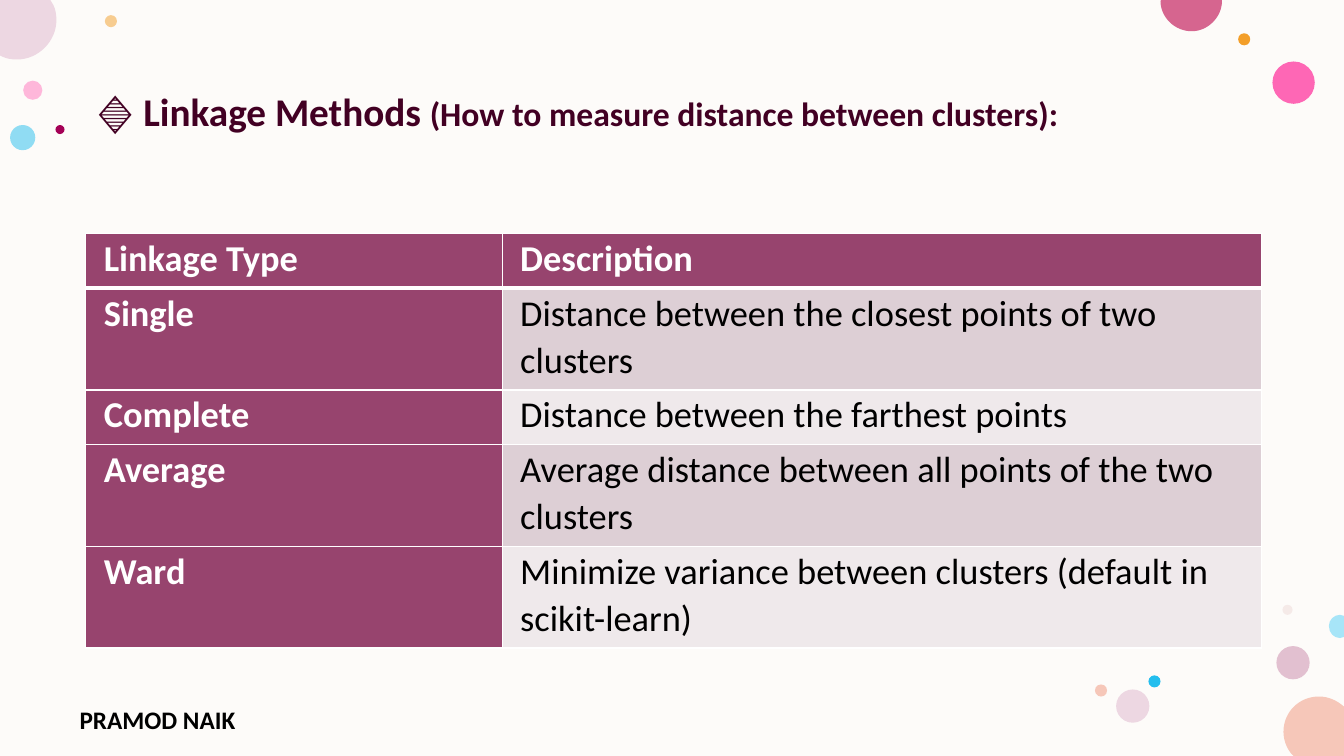
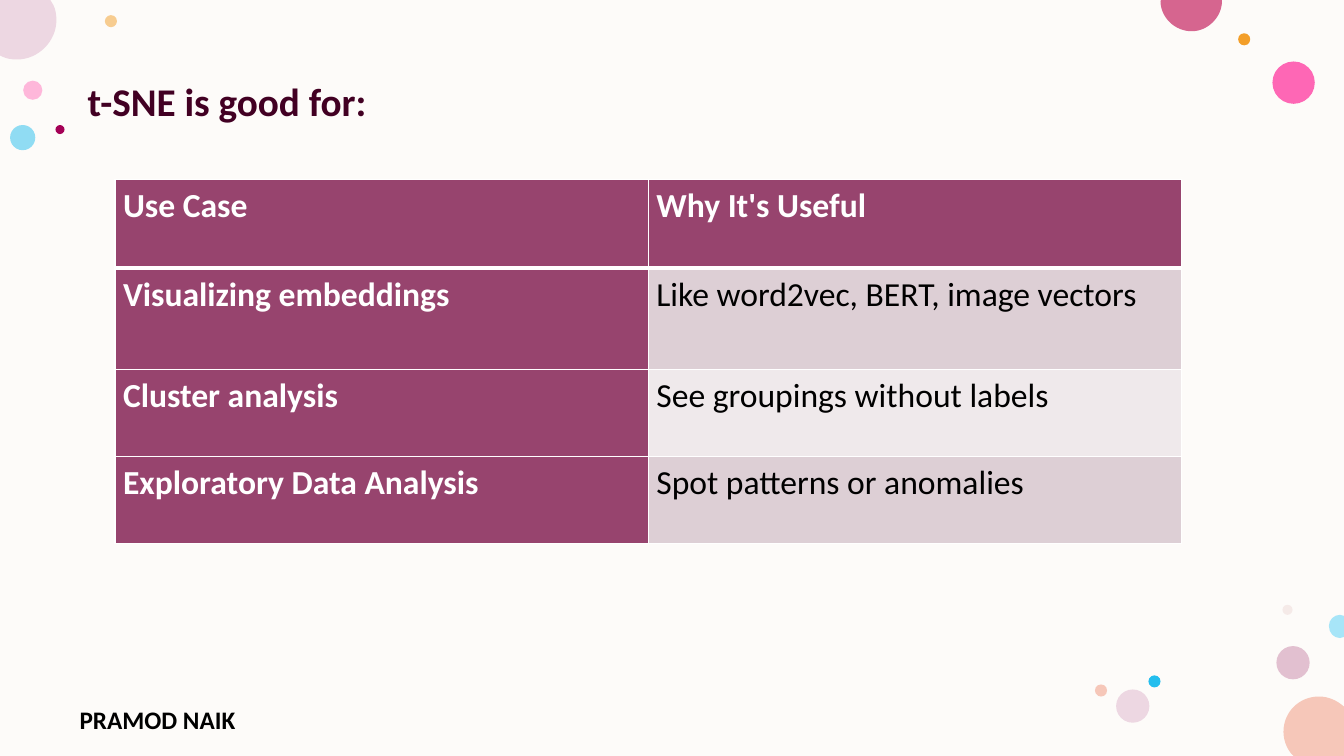
from lxml.etree import SubElement
from pptx import Presentation
from pptx.dml.color import RGBColor as RGB
from pptx.enum.shapes import MSO_SHAPE as Shape
from pptx.enum.text import MSO_ANCHOR as Anchor, MSO_AUTO_SIZE as Fit, PP_ALIGN as Align
from pptx.oxml.ns import qn
from pptx.util import Pt

PX = 9144  # 100 px to the inch
WIDE, HIGH = 1333, 750

CREAM = RGB(0xFD, 0xFB, 0xF9)
WHITE = RGB(0xFF, 0xFF, 0xFF)
BLACK = RGB(0x00, 0x00, 0x00)
WINE = RGB(0x42, 0x00, 0x23)
PLUM = RGB(0x97, 0x44, 0x6E)
BANDS = RGB(0xDD, 0xCF, 0xD5), RGB(0xEF, 0xE9, 0xEB)
PINK = RGB(0xFF, 0x75, 0xBD)
HOT = RGB(0xFF, 0x2F, 0x9C)
ROSE = RGB(0xD6, 0x65, 0x8F)
MAUVE = RGB(0xC9, 0x87, 0xA8)
LILAC = RGB(0xED, 0xD7, 0xE2)
BLUSH = RGB(0xE3, 0xBE, 0xBE)
PEACH = RGB(0xF6, 0xC7, 0xB9)
AMBER = RGB(0xF3, 0x9E, 0x29)
BERRY = RGB(0xA4, 0x00, 0x56)
SKY = RGB(0x24, 0xBE, 0xEE)
PALE = RGB(0xA7, 0xE5, 0xF8)

# left, top, diameter, colour, opacity in percent
DOTS = [
    (23, 80, 19, PINK, 50),
    (104, 15, 12, AMBER, 50),
    (1266, 641, 33, MAUVE, 50),
    (10, 124, 25, SKY, 50),
    (1262, 61, 42, HOT, 72),
    (1228, 33, 12, AMBER, 100),
    (1272, 600, 10, BLUSH, 28),
    (1139, 670, 12, SKY, 100),
    (1107, 684, 33, LILAC, 100),
    (1086, 679, 12, PEACH, 100),
    (55, 124, 9, BERRY, 100),
]

# colour, start, then lines (one point) and curves (three points)
DISCS = [
    (PEACH, (1308, 691), [
        [(1318, 691), (1326, 695), (1333, 701)],
        [(1333, 750)], [(1283, 750)], [(1281, 748)],
        [(1276, 742), (1273, 734), (1273, 726)],
        [(1273, 706), (1289, 691), (1308, 691)],
    ]),
    (LILAC, (0, 0), [
        [(50, 0)], [(53, 5)],
        [(55, 9), (56, 14), (56, 20)],
        [(56, 41), (38, 59), (17, 59)],
        [(11, 59), (6, 58), (2, 56)],
        [(0, 55)],
    ]),
    (ROSE, (1152, 0), [
        [(1212, 0)], [(1212, 1)],
        [(1212, 17), (1198, 31), (1182, 31)],
        [(1165, 31), (1151, 17), (1151, 1)],
    ]),
    (PALE, (1329, 610), [
        [(1333, 611)], [(1333, 632)], [(1329, 633)],
        [(1323, 633), (1318, 628), (1318, 621)],
        [(1318, 615), (1323, 610), (1329, 610)],
    ]),
]

LINKS = [
    ("Linkage Type", "Description"),
    ("Single", "Distance between the closest points of two clusters"),
    ("Complete", "Distance between the farthest points"),
    ("Average", "Average distance between all points of the two clusters"),
    ("Ward", "Minimize variance between clusters (default in scikit-learn)"),
]

USES = [
    ("Use Case", "Why It's Useful"),
    ("Visualizing embeddings", "Like word2vec, BERT, image vectors"),
    ("Cluster analysis", "See groupings without labels"),
    ("Exploratory Data Analysis", "Spot patterns or anomalies"),
]


def emu(*nums):
    return [n * PX for n in nums]


def assign(item, values):
    for name, value in values.items():
        setattr(item, name, value)


def write(para, text, size, color, bold=True):
    run = para.add_run()
    run.text = text
    assign(run.font, {"name": "Calibri", "size": Pt(size), "bold": bold})
    run.font.color.rgb = color


def paint(shape, color, alpha=100):
    shape.shadow.inherit = False
    shape.line.fill.background()
    shape.fill.solid()
    shape.fill.fore_color.rgb = color
    if alpha < 100:
        tone = next(shape.fill._xPr.iter(qn("a:srgbClr")))
        SubElement(tone, qn("a:alpha")).set("val", str(alpha * 1000))


def add_dot(slide, left, top, size, color, alpha):
    dot = slide.shapes.add_shape(Shape.OVAL, *emu(left, top, size, size))
    paint(dot, color, alpha)


def add_disc(slide, color, start, parts):
    """Draw an outline, turning each three-point part into a Bezier curve."""
    form = slide.shapes.build_freeform(*start, scale=PX)
    form.add_line_segments([point for part in parts for point in part], close=True)
    disc = form.convert_to_shape()
    lines = iter(list(disc._element.iter(qn("a:lnTo"))))
    for part in parts:
        group = [next(lines) for _ in part]
        if len(group) == 3:
            curve = group[0].makeelement(qn("a:cubicBezTo"))
            group[0].addprevious(curve)
            for line in group:
                curve.append(line[0])
                line.getparent().remove(line)
    paint(disc, color)


def add_foot(slide):
    box = slide.shapes.add_textbox(*emu(69, 694, 245, 32))
    assign(box.text_frame, {"word_wrap": True, "auto_size": Fit.SHAPE_TO_FIT_TEXT})
    write(box.text_frame.paragraphs[0], "PRAMOD NAIK", 18, BLACK)


def add_title(slide, place, anchor, runs):
    title = slide.shapes.title
    assign(title, dict(zip(("left", "top", "width", "height"), emu(*place))))
    frame = title.text_frame
    assign(frame, {"word_wrap": True, "auto_size": Fit.NONE, "vertical_anchor": anchor})
    para = frame.paragraphs[0]
    assign(para, {"alignment": Align.LEFT, "line_spacing": 0.9})
    for text, size in runs:
        write(para, text, size, WINE)


def add_edges(cell):
    """Rule a header cell in white, thicker below."""
    props = cell._tc.get_or_add_tcPr()
    for spot, (side, width) in enumerate([("L", 1), ("R", 1), ("T", 1), ("B", 3)]):
        edge = props.makeelement(qn(f"a:ln{side}"), {"w": str(Pt(width))})
        fill = SubElement(edge, qn("a:solidFill"))
        SubElement(fill, qn("a:srgbClr")).set("val", str(WHITE))
        props.insert(spot, edge)


def add_grid(slide, left, top, cols, rows, data, size, pad, space):
    place = emu(left, top, sum(cols), sum(rows))
    grid = slide.shapes.add_table(len(rows), len(cols), *place).table
    for col, width in zip(grid.columns, emu(*cols)):
        col.width = width
    for r, (row, height) in enumerate(zip(grid.rows, emu(*rows))):
        row.height = height
        for c, cell in enumerate(row.cells):
            head = r == 0 or c == 0
            side = pad * PX
            assign(cell, {"margin_left": side, "margin_right": side,
                          "margin_top": 0, "margin_bottom": 0})
            cell.fill.solid()
            cell.fill.fore_color.rgb = PLUM if head else BANDS[(r - 1) % 2]
            if r == 0:
                add_edges(cell)
            para = cell.text_frame.paragraphs[0]
            assign(para, {"line_spacing": space, "space_after": Pt(8)})
            write(para, data[r][c], size, WHITE if head else BLACK, head)


def add_slide(deck):
    slide = deck.slides.add_slide(deck.slide_layouts[5])
    back = slide.shapes.add_shape(Shape.RECTANGLE, *emu(0, 0, WIDE, HIGH))
    paint(back, CREAM)
    for dot in DOTS:
        add_dot(slide, *dot)
    for disc in DISCS:
        add_disc(slide, *disc)
    add_foot(slide)
    tree = slide.shapes._spTree
    tree.append(slide.shapes.title._element)
    return slide


def main():
    deck = Presentation()
    deck.slide_width, deck.slide_height = emu(WIDE, HIGH)

    slide = add_slide(deck)
    add_title(slide, (85, 40, 1223, 145), Anchor.MIDDLE, [
        ("🔷 Linkage Methods ", 28),
        ("(How to measure distance between clusters):", 24),
    ])
    add_grid(slide, 85, 232, (413, 753), (54, 101, 54, 101, 101),
             LINKS, size=26, pad=18, space=1.07)

    slide = add_slide(deck)
    add_title(slide, (77, 77, 1192, 600), Anchor.TOP, [("t-SNE is good for:", 28)])
    add_grid(slide, 114, 178, (529, 529), (88, 101, 86, 86),
             USES, size=24, pad=8, space=1.15)

    deck.save("out.pptx")


if __name__ == "__main__":
    main()
